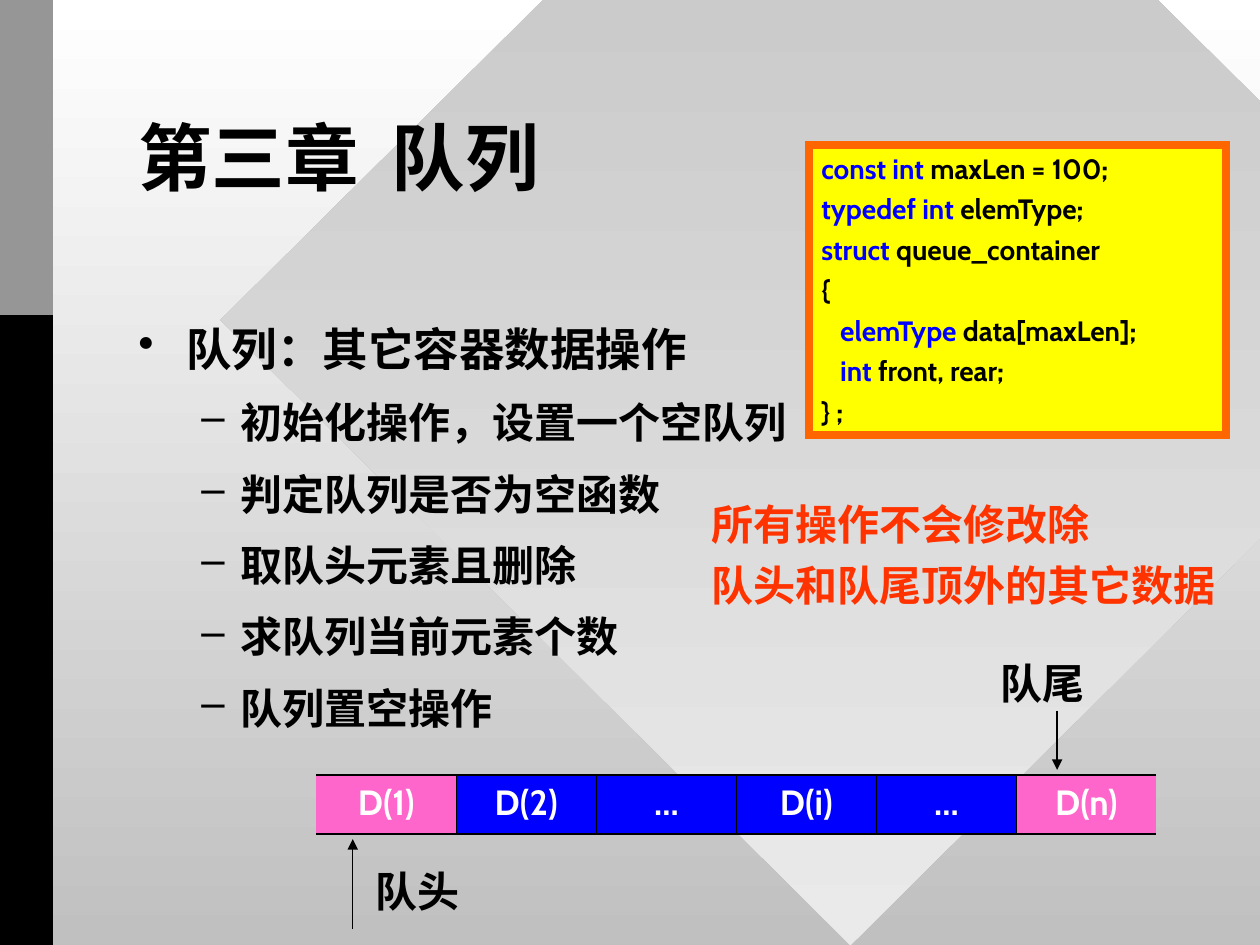
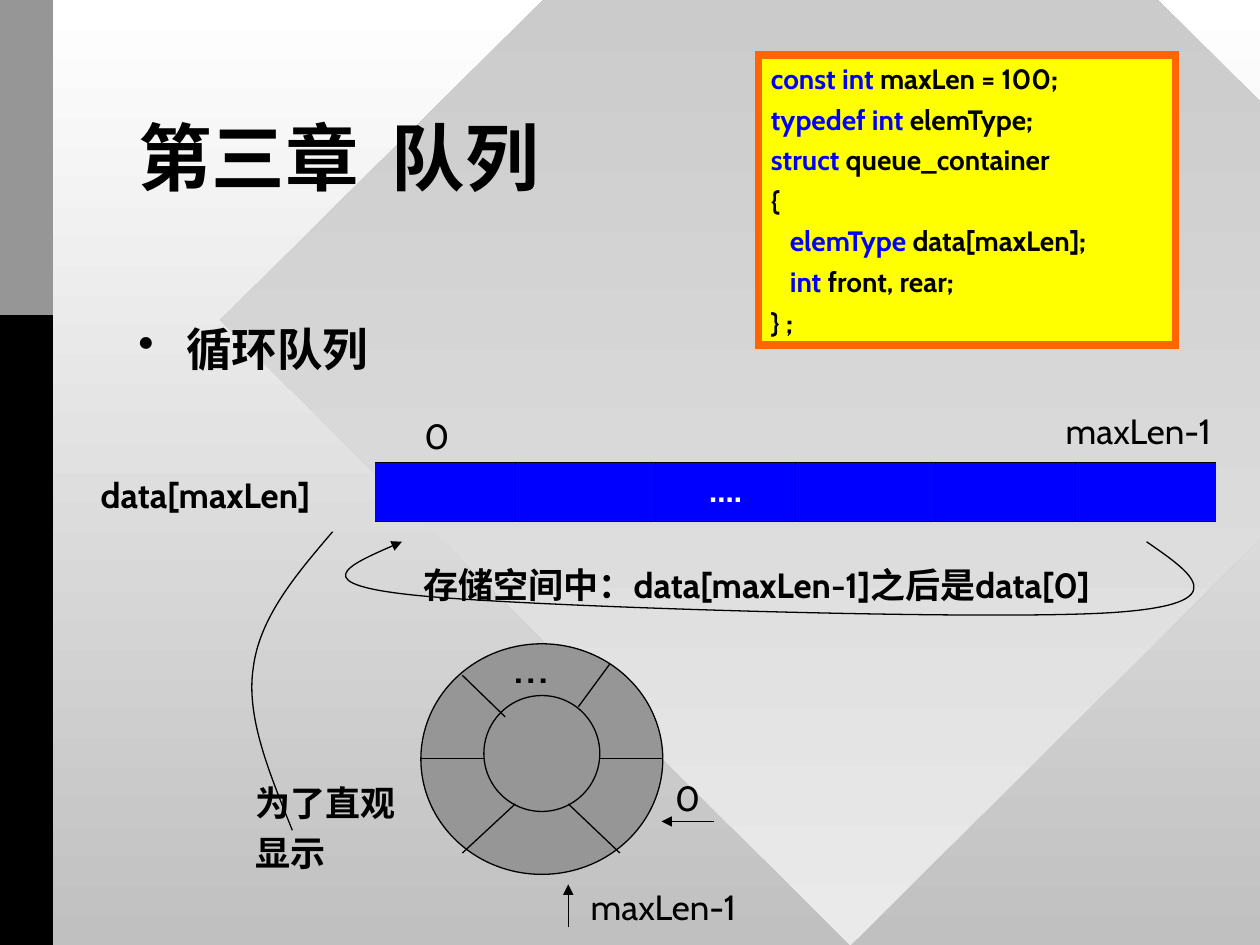
from lxml import etree
from pptx import Presentation
from pptx.dml.color import RGBColor
from pptx.enum.shapes import MSO_CONNECTOR as Conn, MSO_SHAPE as Shape
from pptx.enum.text import MSO_ANCHOR as Anchor, MSO_AUTO_SIZE as Auto, PP_ALIGN as Align
from pptx.oxml.ns import qn
from pptx.util import Inches, Pt

FONT = "Cabin"
INK, WHITE, GRAY, SILVER, PALE = "010000", "FFFFFF", "969696", "C0C0C0", "EAEAEA"
BLUE, PINK, RED, YELLOW, ORANGE = "0000FF", "FF66CC", "FF3300", "FFFF00", "FF6600"

TITLE = "第三章  队列"
# (indent, [(text, colour), ...])
CODE = [
    (0, [("const int ", BLUE), ("maxLen = 100;", INK)]),
    (0, [("typedef int ", BLUE), ("elemType;", INK)]),
    (0, [("struct ", BLUE), ("queue_container", INK)]),
    (0, [("{", INK)]),
    (0.15, [("elemType ", BLUE), ("data[maxLen];", INK)]),
    (0.15, [("int", BLUE), (" front, rear;", INK)]),
    (0, [("} ;", INK)]),
]

QUEUE = {
    "head": "队列：其它容器数据操作",
    "items": ["初始化操作，设置一个空队列", "判定队列是否为空函数", "取队头元素且删除",
              "求队列当前元素个数", "队列置空操作"],
    "width": 5.57,
    "code": (6.42, 1.15),
    "table": (2.51, 6.15),
    "cells": ["D(1)", "D(2)", "…", "D(i)", "…", "D(n)"],
    "fills": [PINK, BLUE, BLUE, BLUE, BLUE, PINK],
    "labels": [
        ((5.55, 3.91, 4.25, 0.99), ["所有操作不会修改除", "队头和队尾顶外的其它数据"],
         dict(size=24, bold=True, before=6, color=RED)),
        ((7.84, 5.17, 0.95, 0.5), ["队尾"], dict(size=24, bold=True)),
        ((2.88, 6.82, 0.95, 0.5), ["队头"], dict(size=24, bold=True)),
    ],
    "arrows": [(2.8, 7.37, 2.8, 6.66), (8.39, 5.64, 8.39, 6.11)],
}

RING = {
    "head": "循环队列",
    "items": [],
    "width": 6.52,
    "code": (6.02, 0.44),
    "table": (2.98, 3.67),
    "cells": ["", "", "….", "", "", ""],
    "fills": [BLUE] * 6,
    "discs": [(3.34, 5.11, 1.92, 1.83), (3.84, 5.52, 0.92, 0.92)],
    "spokes": [(3.34, 6.02, 3.84, 6.02), (4.76, 6.02, 5.26, 6.02),
               (3.67, 5.36, 4.01, 5.69), (4.51, 6.38, 4.92, 6.77),
               (4.84, 5.27, 4.59, 5.61), (4.09, 6.38, 3.67, 6.77)],
    "arrows": [(4.51, 7.36, 4.51, 7.02), (5.67, 6.52, 5.25, 6.52)],
    "labels": [
        ((0.7, 3.71, 2.12, 0.44), ["data[maxLen]"], dict(bold=True)),
        ((3.27, 3.24, 0.36, 0.44), ["0"], {}),
        ((8.36, 3.2, 1.49, 0.44), ["maxLen-1"], {}),
        ((3.26, 4.42, 6.05, 0.44), ["存储空间中：data[maxLen-1]之后是data[0]"], dict(bold=True)),
        ((1.93, 6.15, 1.31, 0.84), ["为了直观", "显示"], dict(bold=True)),
        ((4.59, 6.98, 1.44, 0.77), ["maxLen-1"], {}),
        ((5.26, 6.11, 1.08, 0.44), ["0"], {}),
        ((3.98, 4.96, 0.53, 0.6), ["…"], dict(size=30)),
    ],
    # start point, then two controls and an end for each curve
    "wrap": [(9.1, 4.3), (9.46, 4.55), (9.82, 4.79), (8.86, 4.86),
             (7.9, 4.93), (4.29, 4.82), (3.35, 4.73),
             (2.4, 4.64), (2.8, 4.47), (3.19, 4.3)],
    "link": [(2.64, 4.22), (2.35, 4.56), (2.06, 4.9), (2.01, 5.3),
             (1.95, 5.69), (2.14, 6.14), (2.32, 6.59)],
}


def rgb(color):
    return RGBColor.from_string(color)


def emu(nums):
    return [Inches(n) for n in nums]


def sub(parent, tag, **attrs):
    return etree.SubElement(parent, qn(tag), attrs)


def fade(fill, top, bottom):
    """Fill with a vertical gradient."""
    fill.gradient()
    fill.gradient_angle = 270
    for stop, color in zip(fill.gradient_stops, (top, bottom)):
        stop.color.rgb = rgb(color)


def stroke(shape, color=INK, width=0.75, arrow=False):
    """Set a line with sharp corners and perhaps an arrowhead."""
    shape.line.color.rgb = rgb(color)
    shape.line.width = Pt(width)
    rule = shape._element.spPr.find(qn("a:ln"))
    sub(rule, "a:miter", lim="800000")
    if arrow:
        sub(rule, "a:tailEnd", type="triangle")


def put(frame, lines, size=20, color=INK, bold=False, before=5, align=Align.LEFT,
        indent=0, hang=0, bullet=None, spacing=None):
    """Add paragraphs; a line is a string or a list of (text, colour)."""
    for line in lines:
        para = frame.add_paragraph() if frame.text else frame.paragraphs[0]
        para.alignment, para.space_before = align, Pt(before)
        if spacing:
            para.line_spacing = spacing
        props = para._p.get_or_add_pPr()
        props.set("marL", str(Inches(indent)))
        props.set("indent", str(Inches(-hang)))
        if bullet:
            sub(sub(props, "a:buClr"), "a:srgbClr", val=INK)
            sub(props, "a:buChar", char=bullet)
        for words, tint in [(line, color)] if isinstance(line, str) else line:
            run = para.add_run()
            run.text = words
            font = run.font
            font.size, font.bold, font.name = Pt(size), bold, FONT
            font.color.rgb = rgb(tint)
            east = etree.Element(qn("a:ea"), typeface=FONT)
            run._r.rPr.find(qn("a:latin")).addnext(east)


def box(slide, at, lines, wrap=False, anchor=Anchor.TOP, grow=True, **style):
    frame = slide.shapes.add_textbox(*emu(at)).text_frame
    frame.word_wrap, frame.vertical_anchor = wrap, anchor
    frame.auto_size = Auto.SHAPE_TO_FIT_TEXT if grow else Auto.NONE
    put(frame, lines, **style)
    return frame


def solid(slide, kind, at, fill=None):
    shape = slide.shapes.add_shape(kind, *emu(at))
    shape.shadow.inherit = False
    shape.line.fill.background()
    if fill:
        shape.fill.solid()
        shape.fill.fore_color.rgb = rgb(fill)
    return shape


def line(slide, ends, arrow=False):
    conn = slide.shapes.add_connector(Conn.STRAIGHT, *emu(ends))
    stroke(conn, arrow=arrow)
    sub(conn._element.spPr, "a:effectLst")


def curve(slide, points, arrow=False):
    """Draw joined cubic curves through start, control, control, end, ..."""
    start, *rest = [emu(p) for p in points]
    pen = slide.shapes.build_freeform(*start)
    pen.add_line_segments(rest, close=False)
    shape = pen.convert_to_shape()
    shape.shadow.inherit = False
    shape.fill.background()
    stroke(shape, arrow=arrow)
    track = next(shape._element.iter(qn("a:path")))
    steps = track.findall(qn("a:lnTo"))
    for a, b, c in zip(steps[::3], steps[1::3], steps[2::3]):
        bend = etree.Element(qn("a:cubicBezTo"))
        a.addprevious(bend)
        for step in (a, b, c):
            bend.append(step[0])
            track.remove(step)


def edge(cell, widths):
    """Set left, right, top and bottom borders; width 0 hides one."""
    props = cell._tc.get_or_add_tcPr()
    for i, (side, width) in enumerate(zip("LRTB", widths)):
        rule = etree.Element(qn("a:ln" + side), w=str(Pt(width)))
        if width:
            sub(sub(rule, "a:solidFill"), "a:srgbClr", val=INK)
        else:
            sub(rule, "a:noFill")
        props.insert(i, rule)


def strip(slide, spot, words, fills):
    """Draw the array as a table of one row."""
    count = len(words)
    table = slide.shapes.add_table(1, count, *emu((*spot, 6.67, 0.47))).table
    table.first_row = table.horz_banding = False
    for i, (word, fill) in enumerate(zip(words, fills)):
        cell = table.cell(0, i)
        cell.fill.solid()
        cell.fill.fore_color.rgb = rgb(fill)
        edge(cell, (0.45 if i else 0, 0.45 if i < count - 1 else 0, 1.08, 1.08))
        if word:
            put(cell.text_frame, [word], color=WHITE, bold=True, before=15, align=Align.CENTER)


def code(slide, spot):
    shape = solid(slide, Shape.RECTANGLE, (*spot, 3.31, 2.3), YELLOW)
    stroke(shape, ORANGE, 4.5)
    frame = shape.text_frame
    frame.word_wrap, frame.vertical_anchor = True, Anchor.TOP
    for indent, runs in CODE:
        put(frame, [runs], size=16, bold=True, before=4, indent=indent)


def base(deck, data):
    """Start a slide with backdrop, title, bullets, array and code."""
    slide = deck.slides.add_slide(deck.slide_layouts[6])
    fade(slide.background.fill, WHITE, SILVER)
    fade(solid(slide, Shape.DIAMOND, (1.75, -2.42, 10, 9.92)).fill, SILVER, PALE)
    solid(slide, Shape.RECTANGLE, (0, 0, 0.42, 7.5), "000000")
    solid(slide, Shape.RECTANGLE, (0, 0, 0.42, 2.5), GRAY)
    box(slide, (1, 0.67, 8, 1.25), [TITLE], wrap=True, grow=False, anchor=Anchor.MIDDLE,
        size=42, bold=True, before=0, spacing=0.85)
    body = box(slide, (1, 2.5, data["width"], 4), [data["head"]], wrap=True, grow=False,
               size=26, bold=True, before=19.5, indent=0.38, hang=0.38, bullet="•")
    put(body, data["items"], size=24, bold=True, before=12, indent=0.81, hang=0.31, bullet="–")
    strip(slide, data["table"], data["cells"], data["fills"])
    code(slide, data["code"])
    return slide


def notes(slide, data):
    """Add the arrows and labels."""
    for ends in data["arrows"]:
        line(slide, ends, arrow=True)
    for at, lines, style in data["labels"]:
        box(slide, at, lines, **style)


def main():
    deck = Presentation()
    deck.slide_width, deck.slide_height = emu((10, 7.5))
    notes(base(deck, QUEUE), QUEUE)

    slide = base(deck, RING)
    curve(slide, RING["wrap"], arrow=True)
    curve(slide, RING["link"])
    for at in RING["discs"]:
        stroke(solid(slide, Shape.OVAL, at, GRAY))
    for ends in RING["spokes"]:
        line(slide, ends)
    notes(slide, RING)
    deck.save("out.pptx")


if __name__ == "__main__":
    main()
